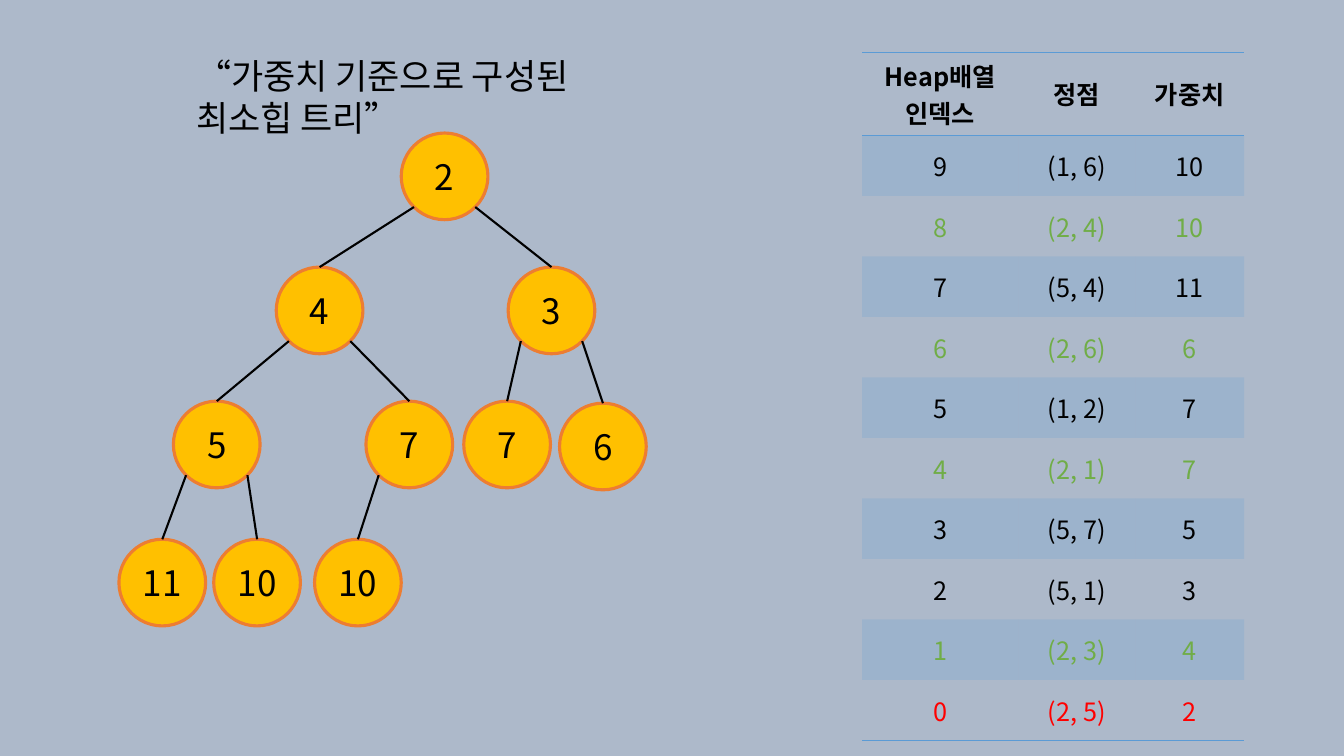
"""Build a slide with a weighted min-heap tree and its array table."""
from dataclasses import dataclass
from math import sqrt

from lxml.etree import SubElement
from pptx import Presentation
from pptx.dml.color import RGBColor as Color
from pptx.enum.shapes import MSO_CONNECTOR as Link, MSO_SHAPE as Shape
from pptx.enum.text import MSO_ANCHOR as Anchor, PP_ALIGN as Align
from pptx.oxml import parse_xml
from pptx.oxml.ns import nsdecls, qn
from pptx.util import Inches, Pt


@dataclass(frozen=True)
class Theme:
    face: str = "Noto Sans CJK KR"
    back: str = "ADB9CA"
    ink: str = "000000"
    node: str = "FFC000"
    ring: str = "ED7D31"
    band: str = "5B9BD5"
    green: str = "70AD47"
    red: str = "FF0000"
    big: int = 25
    small: int = 18


theme = Theme()


def write(frame, text, size, ink=theme.ink, bold=False, align=Align.CENTER):
    """Fill a text frame, one paragraph per line."""
    style = {"name": theme.face, "size": Pt(size), "bold": bold}
    frame.text = text
    for para in frame.paragraphs:
        para.alignment = align
        font = para.runs[0].font
        for key, value in style.items():
            setattr(font, key, value)
        font.color.rgb = Color.from_string(ink)
        SubElement(para.runs[0]._r.rPr, qn("a:ea")).set("typeface", theme.face)


def rule(cell, side):
    """Draw a thin line on the top or bottom side of a cell."""
    line = parse_xml(
        f'<a:ln{side} {nsdecls("a")} w="12700"><a:solidFill>'
        f'<a:srgbClr val="{theme.band}"/></a:solidFill></a:ln{side}>')
    cell._tc.get_or_add_tcPr().insert(0, line)


deck = Presentation()
deck.slide_width, deck.slide_height = Inches(13.33), Inches(7.5)
slide = deck.slides.add_slide(deck.slide_layouts[6])
slide.background.fill.solid()
slide.background.fill.fore_color.rgb = Color.from_string(theme.back)
shapes = slide.shapes

rows = [
    ("Heap배열\n인덱스", "정점", "가중치"),
    ("9", "(1, 6)", "10"),
    ("8", "(2, 4)", "10"),
    ("7", "(5, 4)", "11"),
    ("6", "(2, 6)", "6"),
    ("5", "(1, 2)", "7"),
    ("4", "(2, 1)", "7"),
    ("3", "(5, 7)", "5"),
    ("2", "(5, 1)", "3"),
    ("1", "(2, 3)", "4"),
    ("0", "(2, 5)", "2"),
]
inks = dict.fromkeys("8641", theme.green) | {"0": theme.red}
last = len(rows) - 1

table = shapes.add_table(len(rows), 3, Inches(8.55), Inches(0.52),
                         Inches(3.79), Inches(6.56)).table
table.first_row = table.horz_banding = False
table._tbl.tblPr.find(qn("a:tableStyleId")).text = "{2D5ABB26-0587-4C30-8999-92F81FD0307C}"
for col, width in zip(table.columns, (1.55, 1.16, 1.08)):
    col.width = Inches(width)
for r, row in enumerate(rows):
    table.rows[r].height = Inches(0.6 if r else 0.56)
    for c, text in enumerate(row):
        cell = table.cell(r, c)
        cell.vertical_anchor = Anchor.MIDDLE
        write(cell.text_frame, text, theme.small, inks.get(row[0], theme.ink), r == 0)
        if r % 2:
            cell.fill.solid()
            cell.fill.fore_color.rgb = Color.from_string(theme.band)
            tint = cell._tc.tcPr.find(".//" + qn("a:srgbClr"))
            SubElement(tint, qn("a:alpha")).set("val", "20000")
        else:
            cell.fill.background()
        if r in (0, last):
            rule(cell, "B")
        if r == 0:
            rule(cell, "T")

title = shapes.add_textbox(Inches(1.85), Inches(0.49), Inches(4.76), Inches(0.52))
title.text_frame.word_wrap = True
write(title.text_frame, "“가중치 기준으로 구성된 최소힙 트리”", theme.big, align=Align.LEFT)

heap = [
    (2, 3.98, 1.32),
    (4, 2.74, 2.65), (3, 5.04, 2.65),
    (5, 1.72, 3.98), (7, 3.63, 3.98), (7, 4.6, 3.98), (6, 5.55, 4),
    (11, 1.18, 5.35), (10, 2.12, 5.35), (10, 3.12, 5.35),
]
size = 0.86
half = size / 2
reach = half / sqrt(2)
for i, (key, x, y) in enumerate(heap):
    node = shapes.add_shape(Shape.OVAL, Inches(x), Inches(y), Inches(size), Inches(size))
    node.shadow.inherit = False
    node.fill.solid()
    node.fill.fore_color.rgb = Color.from_string(theme.node)
    node.line.color.rgb = Color.from_string(theme.ring)
    node.line.width = Pt(2.25)
    node.text_frame.vertical_anchor = Anchor.MIDDLE
    write(node.text_frame, str(key), theme.big)
    if i:
        _, left, top = heap[(i - 1) // 2]
        side = -reach if i % 2 else reach
        edge = shapes.add_connector(
            Link.STRAIGHT, Inches(left + half + side), Inches(top + half + reach),
            Inches(x + half), Inches(y))
        edge.line.color.rgb = Color.from_string(theme.ink)
        edge.line.width = Pt(1.5)
        SubElement(edge._element.spPr, qn("a:effectLst"))

deck.save("out.pptx")
